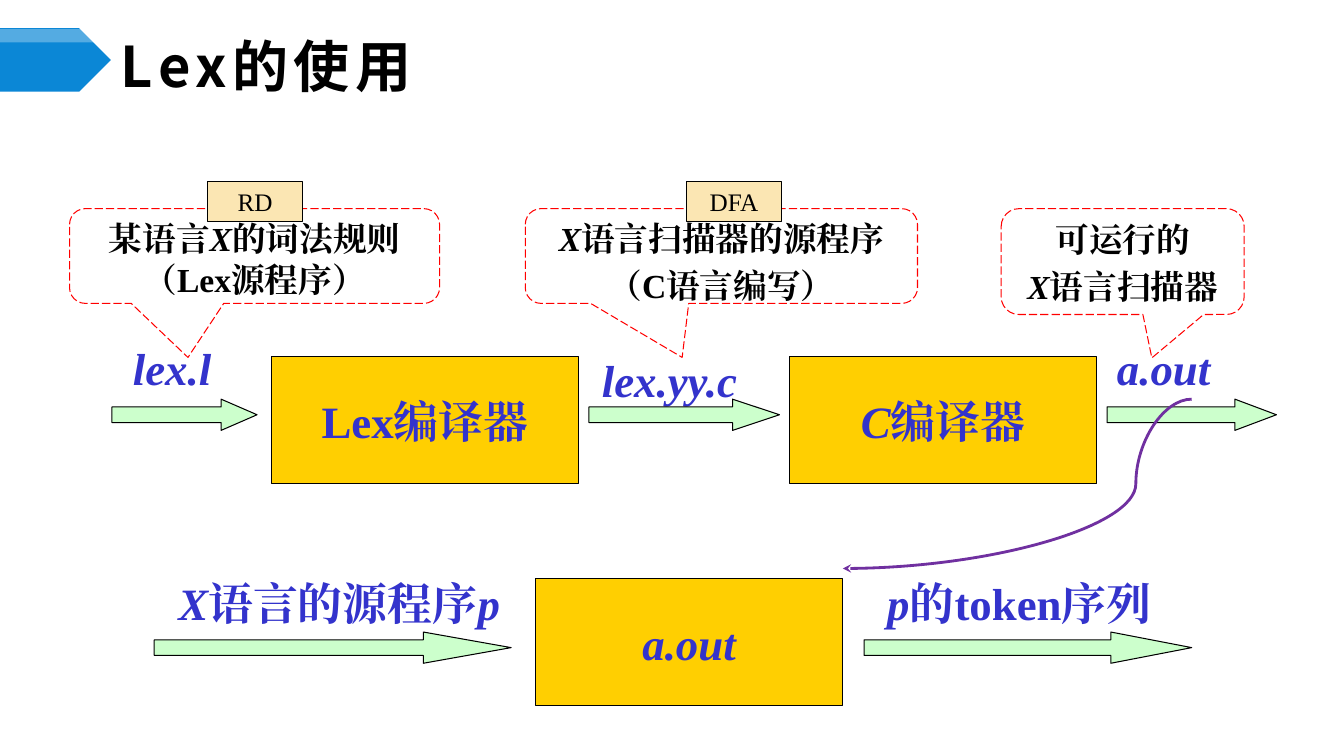
from dataclasses import dataclass

import pptx
import pptx.dml.color
import pptx.enum.dml
import pptx.enum.shapes
import pptx.enum.text
import pptx.oxml.ns
import pptx.util
from lxml import etree

Inches = pptx.util.Inches
Pt = pptx.util.Pt
qn = pptx.oxml.ns.qn
SHAPE = pptx.enum.shapes.MSO_SHAPE
ALIGN = pptx.enum.text.PP_ALIGN
ANCHOR = pptx.enum.text.MSO_ANCHOR


@dataclass(frozen=True)
class Theme:
    serif: str = "Times New Roman"
    sans: str = "Noto Sans CJK SC"
    black: str = "000000"
    white: str = "FFFFFF"
    blue: str = "0B87D6"
    label: str = "3333CC"
    box: str = "FFCF01"
    arrow: str = "CCFFCC"
    tag: str = "FBE6B3"
    callout: str = "FF0000"
    curve: str = "7030A0"
    title_size: int = 40
    label_size: int = 32
    note_size: int = 24
    tag_size: int = 18


T = Theme()


def rgb(value):
    return pptx.dml.color.RGBColor.from_string(value)


def add_run(p, text, size, color, bold=True, italic=False, font=T.serif):
    r = p.add_run()
    r.text = text
    r.font.size = Pt(size)
    r.font.bold = bold
    r.font.italic = italic
    r.font.color.rgb = rgb(color)
    r.font.name = font
    etree.SubElement(r._r.get_or_add_rPr(), qn("a:ea"), typeface=font)
    return r


def write(tf, paragraphs, size, color, align=ALIGN.CENTER, anchor=ANCHOR.MIDDLE,
          bold=True, wrap=True, inset=(0.1, 0.05)):
    """Each paragraph is a list of runs; a run starting with * is italic."""
    tf.word_wrap = wrap
    tf.vertical_anchor = anchor
    tf.margin_left = tf.margin_right = Inches(inset[0])
    tf.margin_top = tf.margin_bottom = Inches(inset[1])
    for i, runs in enumerate(paragraphs):
        p = tf.add_paragraph() if i else tf.paragraphs[0]
        p.alignment = align
        if i:
            p.space_before = Pt(size * 0.2)
        for text in runs:
            add_run(p, text.lstrip("*"), size, color, bold, text.startswith("*"))


def add_shape(slide, kind, at, fill=None, line=None, adj=()):
    sp = slide.shapes.add_shape(kind, *map(Inches, at))
    sp.shadow.inherit = False
    for i, value in enumerate(adj):
        sp.adjustments[i] = value
    if fill:
        sp.fill.solid()
        sp.fill.fore_color.rgb = rgb(fill)
    else:
        sp.fill.background()
    if line:
        sp.line.color.rgb = rgb(line)
        sp.line.width = Pt(0.75)
    else:
        sp.line.fill.background()
    return sp


def add_title(slide, text):
    sp = slide.shapes.title
    sp.left, sp.top, sp.width, sp.height = map(Inches, (1.1, 0.39, 11.56, 0.52))
    tf = sp.text_frame
    tf.vertical_anchor = ANCHOR.MIDDLE
    p = tf.paragraphs[0]
    p.alignment = ALIGN.LEFT
    r = add_run(p, text, T.title_size, T.black, font=T.sans)
    r._r.get_or_add_rPr().set("spc", "400")


def add_title_mark(slide):
    add_shape(slide, SHAPE.PENTAGON, (0, 0.28, 1.1, 0.63), T.blue)
    shine = add_shape(slide, SHAPE.PENTAGON, (0, 0.29, 1.1, 0.13), T.white)
    color = shine._element.spPr.find(qn("a:solidFill"))[0]
    etree.SubElement(color, qn("a:alpha"), val="30000")


def add_box(slide, left, top, runs):
    sp = add_shape(slide, SHAPE.RECTANGLE, (left, top, 3.05, 1.26), T.box, T.black)
    write(sp.text_frame, [runs], T.label_size, T.label)


def add_label(slide, at, runs, wrap=True, inset=(0.13, 0.07)):
    sp = slide.shapes.add_textbox(*map(Inches, at))
    write(sp.text_frame, [runs], T.label_size, T.label, ALIGN.LEFT, ANCHOR.TOP,
          wrap=wrap, inset=inset)


def add_arrow(slide, left, top, width, head):
    add_shape(slide, SHAPE.RIGHT_ARROW, (left, top, width, 0.31), T.arrow, T.black,
              (0.5, head))


def add_callout(slide, at, tip, paragraphs):
    sp = add_shape(slide, SHAPE.ROUNDED_RECTANGULAR_CALLOUT, at, None, T.callout,
                   (*tip, 0.167))
    sp.line.dash_style = pptx.enum.dml.MSO_LINE.LONG_DASH
    write(sp.text_frame, paragraphs, T.note_size, T.black, anchor=ANCHOR.TOP)


def add_tag(slide, left, text):
    sp = add_shape(slide, SHAPE.RECTANGLE, (left, 1.8, 0.94, 0.4), T.tag, T.black)
    write(sp.text_frame, [[text]], T.tag_size, T.black, bold=False)


def add_curve(slide, start, end, bend):
    cn = slide.shapes.add_connector(pptx.enum.shapes.MSO_CONNECTOR.CURVE,
                                    *map(Inches, (*start, *end)))
    cn.line.color.rgb = rgb(T.curve)
    cn.line.width = Pt(2)
    spPr = cn._element.spPr
    guides = spPr.find(qn("a:prstGeom")).get_or_add_avLst()
    etree.SubElement(guides, qn("a:gd"), name="adj1", fmla=f"val {round(bend * 100000)}")
    etree.SubElement(cn.line._get_or_add_ln(), qn("a:tailEnd"), type="stealth")
    etree.SubElement(spPr, qn("a:effectLst"))


def main():
    prs = pptx.Presentation()
    prs.slide_width, prs.slide_height = Inches(13.33), Inches(7.5)
    slide = prs.slides.add_slide(prs.slide_layouts[5])

    # Title
    add_title(slide, "Lex的使用")
    add_title_mark(slide)

    # Processing steps
    for left, top, runs in [(2.69, 3.54, ["Lex编译器"]),
                            (7.83, 3.54, ["*C", "编译器"]),
                            (5.31, 5.74, ["*a.out"])]:
        add_box(slide, left, top, runs)

    # Inputs and outputs
    add_label(slide, (5.84, 3.43, 1.99, 0.63), ["*lex.yy.c"])
    add_label(slide, (1.64, 5.64, 3.8, 0.63), ["*X", "语言的源程序", "*p"])
    add_label(slide, (8.67, 5.64, 3.36, 0.63), ["*p", "的token序列"])
    for left, width, text in [(1.22, 0.99, "*lex.l"), (10.98, 1.14, "*a.out")]:
        add_label(slide, (left, 3.33, width, 0.64), [text], False, (0.1, 0.05))

    # Flow arrows
    for arrow in [(1.11, 3.96, 1.44, 1.15), (5.84, 3.96, 1.89, 1.5),
                  (10.98, 3.96, 1.68, 1.33), (1.53, 6.27, 3.54, 2.81),
                  (8.57, 6.27, 3.25, 2.59)]:
        add_arrow(slide, *arrow)

    # Explanations
    add_callout(slide, (0.69, 2.07, 3.67, 0.94), (-0.18, 1.07),
                [["某语言", "*X", "的词法规则（Lex源程序）"]])
    add_callout(slide, (5.21, 2.07, 3.89, 0.94), (-0.1, 1.07),
                [["*X", "语言扫描器的源程序"], ["（C语言编写）"]])
    add_callout(slide, (9.93, 2.07, 2.41, 1.05), (0.12, 0.91),
                [["可运行的"], ["*X", "语言扫描器"]])

    # The built scanner is run in the second row
    add_curve(slide, (11.82, 3.96), (8.36, 5.64), 0.16)

    # Tags
    add_tag(slide, 2.06, "RD")
    add_tag(slide, 6.81, "DFA")

    prs.save("out.pptx")


if __name__ == "__main__":
    main()
